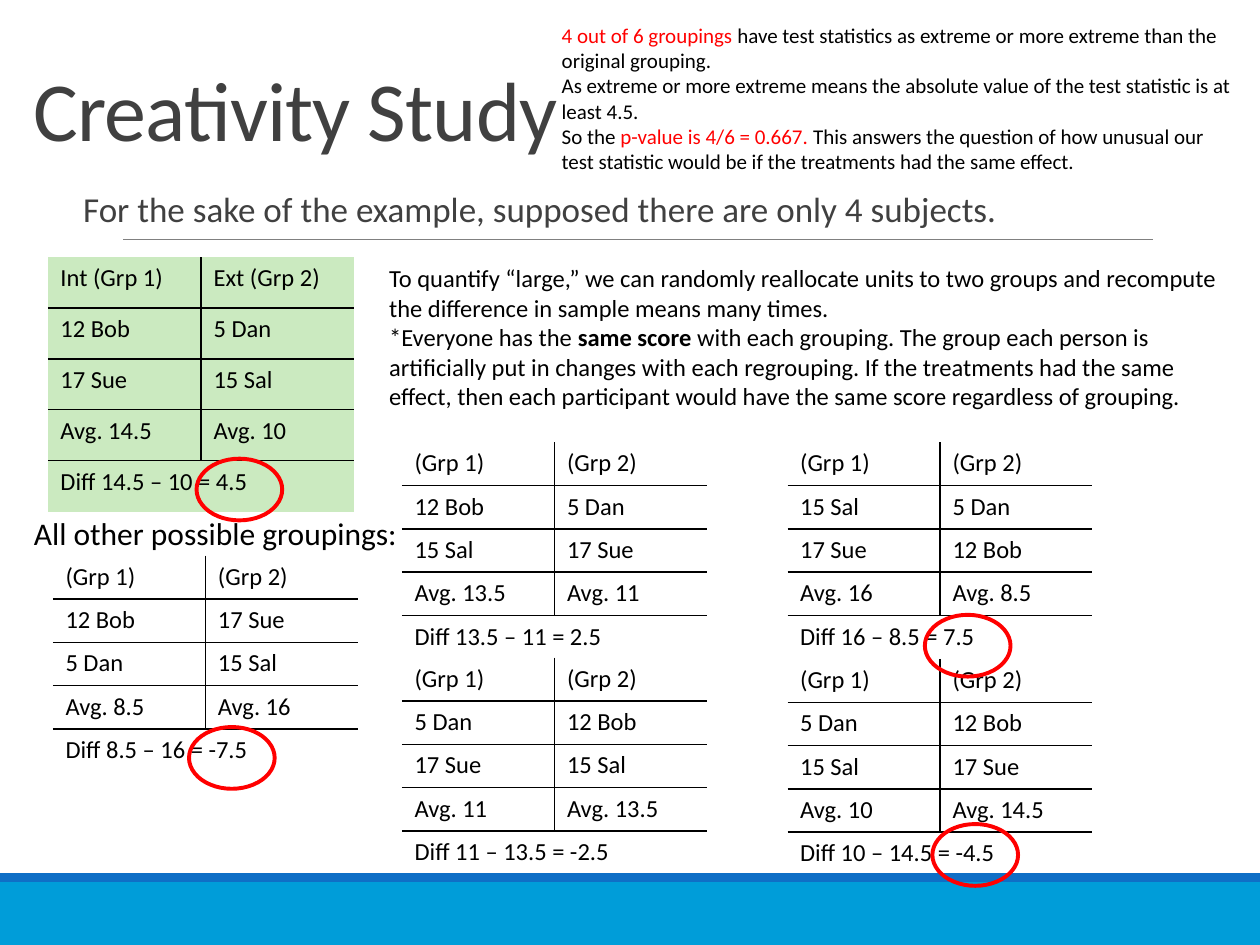
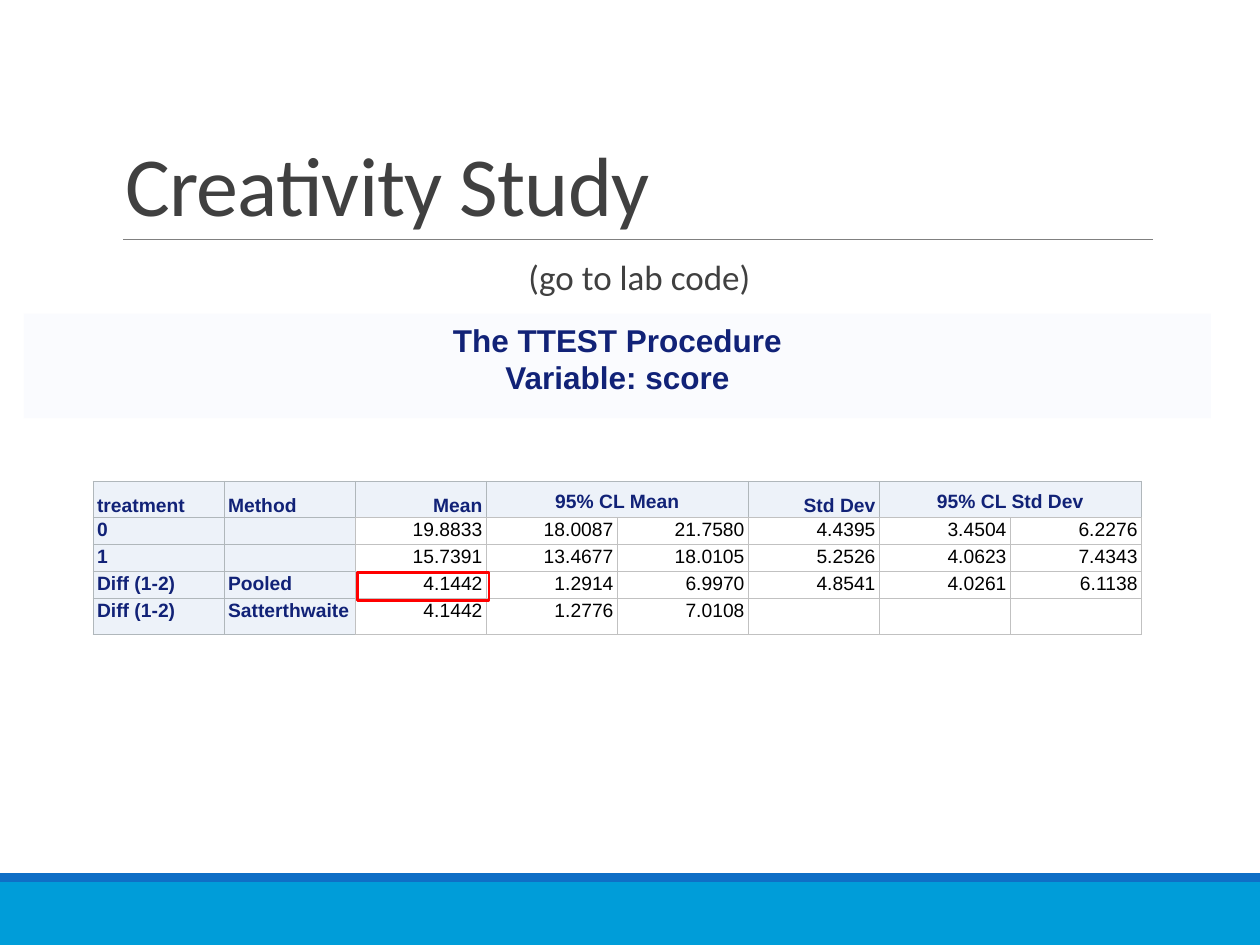
from dataclasses import dataclass
from typing import NamedTuple

from pptx import Presentation
from pptx import util as u
from pptx.dml.color import RGBColor
from pptx.enum import shapes, text
from pptx.oxml import parse_xml
from pptx.oxml.ns import nsdecls, qn

GRID = u.Inches(0.1)
COLS, ROWS = 100, 75
NO_STYLE = "{2D5ABB26-0587-4C30-8999-92F81FD0307C}"


@dataclass(frozen=True)
class Theme:
    band: str = "009DD9"
    stripe: str = "0F6FC6"
    rule: str = "808080"
    heading: str = "404040"
    ink: str = "000000"
    alert: str = "FF0000"
    observed: str = "CBEAC0"
    navy: str = "112277"
    panel: str = "FAFBFE"
    label: str = "EDF2F9"
    label_edge: str = "B0B7BB"
    value: str = "FFFFFF"
    value_edge: str = "C1C1C1"
    font: str = "Calibri"
    output_font: str = "Arial"
    title_size: float = 48
    lead_size: float = 20
    caption_size: float = 18
    text_size: float = 14
    note_size: float = 12
    output_size: float = 11


THEME = Theme()


class Box(NamedTuple):
    col: float
    row: float
    cols: float
    rows: float

    def emu(self):
        return [round(length * GRID) for length in self]

    def inner(self, col, row, cols, rows):
        return Box(self.col + col, self.row + row, cols, rows)


class Run(NamedTuple):
    words: str
    color: str = THEME.ink
    bold: bool = False


def rgb(color):
    return RGBColor.from_string(color)


def style(paragraph, size, color=THEME.ink, font=THEME.font, bold=False, align=None):
    paragraph.font.size = u.Pt(size)
    paragraph.font.name = font
    paragraph.font.color.rgb = rgb(color)
    paragraph.font.bold = bold
    paragraph.alignment = align


def write(frame, paragraphs, size, **look):
    frame.word_wrap = True
    for index, content in enumerate(paragraphs):
        paragraph = frame.add_paragraph() if index else frame.paragraphs[0]
        style(paragraph, size, **look)
        if isinstance(content, str):
            paragraph.add_run().text = content
            continue
        for part in content:
            run = paragraph.add_run()
            run.text = part.words
            run.font.color.rgb = rgb(part.color)
            run.font.bold = part.bold


def set_margins(target, left, top, right, bottom):
    target.margin_left, target.margin_top = u.Inches(left), u.Inches(top)
    target.margin_right, target.margin_bottom = u.Inches(right), u.Inches(bottom)


def add_text(slide, box, paragraphs, size, **look):
    frame = slide.shapes.add_textbox(*box.emu()).text_frame
    write(frame, paragraphs, size, **look)
    return frame


def add_block(slide, box, kind, fill=None, line=None, width=1):
    block = slide.shapes.add_shape(kind, *box.emu())
    block.shadow.inherit = False
    if fill:
        block.fill.solid()
        block.fill.fore_color.rgb = rgb(fill)
    else:
        block.fill.background()
    if line:
        block.line.color.rgb = rgb(line)
        block.line.width = u.Pt(width)
    else:
        block.line.fill.background()
    return block


def add_plain_table(slide, box, heights, columns):
    table = slide.shapes.add_table(len(heights), columns, *box.emu()).table
    table.first_row = table.horz_banding = False
    table._tbl.tblPr.find(qn("a:tableStyleId")).text = NO_STYLE
    for row, height in zip(table.rows, heights):
        row.height = round(height * GRID)
    for column in table.columns:
        column.width = round(box.cols / columns * GRID)
    return table


def set_borders(cell, sides, color, width):
    properties = cell._tc.get_or_add_tcPr()
    for side in "LRTB":
        if side in sides:
            properties.append(parse_xml(
                f'<a:ln{side} {nsdecls("a")} w="{u.Pt(width)}"><a:solidFill>'
                f'<a:srgbClr val="{color}"/></a:solidFill></a:ln{side}>'))


def fill_cell(cell, color):
    if color:
        cell.fill.solid()
        cell.fill.fore_color.rgb = rgb(color)
    else:
        cell.fill.background()


def add_base(deck):
    slide = deck.slides.add_slide(deck.slide_layouts[6])
    footer = Box(0, 69.3, COLS, ROWS - 69.3)
    rectangle = shapes.MSO_SHAPE.RECTANGLE
    add_block(slide, footer.inner(0, 0.7, COLS, 5), rectangle, THEME.band)
    add_block(slide, footer.inner(0, 0, COLS, 0.7), rectangle, THEME.stripe)
    left, top, right = (round(n * GRID) for n in (9.8, 19, 91.5))
    rule = slide.shapes.add_connector(shapes.MSO_CONNECTOR.STRAIGHT, left, top, right, top)
    rule.line.color.rgb = rgb(THEME.rule)
    rule.line.width = u.Pt(0.5)
    rule._element.spPr.append(parse_xml(f'<a:effectLst {nsdecls("a")}/>'))
    return slide


def add_title(slide, box):
    frame = add_text(slide, box, ["Creativity Study"], THEME.title_size, color=THEME.heading)
    frame.vertical_anchor = text.MSO_ANCHOR.BOTTOM
    title = frame.paragraphs[0]
    title.line_spacing = 0.85
    title.runs[0]._r.get_or_add_rPr().set("spc", "-50")


def add_lead(slide, box, words, align=None):
    frame = add_text(slide, box, [words], THEME.lead_size, color=THEME.heading, align=align)
    set_margins(frame, 0, 0.05, 0, 0.05)
    lead = frame.paragraphs[0]
    lead.line_spacing = 0.9
    lead.space_before, lead.space_after = u.Pt(12), u.Pt(2)
    lead._p.get_or_add_pPr().set("marL", str(u.Inches(0.1)))


SCORES = {"Bob": 12, "Sue": 17, "Dan": 5, "Sal": 15}


class Grouping(NamedTuple):
    box: Box
    first: tuple
    second: tuple
    ring: tuple = ()
    heads: tuple = ("(Grp 1)", "(Grp 2)")
    fill: str = ""


def grouping_box(col, row):
    return Box(col, row, 24.2, 17.2)


GROUPINGS = [
    Grouping(Box(3.8, 20.4, 24.3, 20.2), ("Bob", "Sue"), ("Dan", "Sal"), (11.8, 16),
             ("Int (Grp 1)", "Ext (Grp 2)"), THEME.observed),
    Grouping(grouping_box(31.9, 35.1), ("Bob", "Sal"), ("Dan", "Sue")),
    Grouping(grouping_box(31.9, 52.2), ("Dan", "Sue"), ("Bob", "Sal")),
    Grouping(grouping_box(62.5, 52.3), ("Dan", "Sal"), ("Bob", "Sue"), (11.5, 13.1)),
    Grouping(grouping_box(4.2, 44.1), ("Bob", "Dan"), ("Sue", "Sal"), (10.8, 13.6)),
    Grouping(grouping_box(62.5, 35.1), ("Sal", "Sue"), ("Dan", "Bob"), (10.9, 13.7)),
]


def add_grouping(slide, grouping):
    groups = grouping.first, grouping.second
    means = [sum(SCORES[name] for name in group) / len(group) for group in groups]
    rows = [grouping.heads]
    rows += [[f"{SCORES[name]} {name}" for name in pair] for pair in zip(*groups)]
    rows.append([f"Avg. {mean:g}" for mean in means])
    rows.append([f"Diff {means[0]:g} – {means[1]:g} = {means[0] - means[1]:g}", ""])
    last = len(rows) - 1
    height = grouping.box.rows / len(rows)
    table = add_plain_table(slide, grouping.box, [height] * len(rows), 2)
    table.cell(last, 0).merge(table.cell(last, 1))
    for r, row in enumerate(rows):
        for c, words in enumerate(row):
            cell = table.cell(r, c)
            sides = ("T" if r else "") + ("B" if r < last else "")
            sides += "RL"[c] if r < last else ""
            set_borders(cell, sides, THEME.ink, 1)
            fill_cell(cell, grouping.fill)
            if words:
                write(cell.text_frame, [words], THEME.text_size)


def add_ring(slide, grouping):
    add_block(slide, grouping.box.inner(*grouping.ring, 6.8, 4.9),
              shapes.MSO_SHAPE.OVAL, line=THEME.alert, width=2.25)


def build_groupings_slide(deck):
    slide = add_base(deck)
    add_title(slide, Box(1.7, 2.6, 82.5, 10.5))
    add_lead(slide, Box(5.6, 14.8, 82.5, 4.8),
             "For the sake of the example, supposed there are only 4 subjects.")
    add_text(slide, Box(1.7, 40.3, 31.8, 4), ["All other possible groupings:"], THEME.caption_size)
    for grouping in GROUPINGS:
        add_grouping(slide, grouping)
    for grouping in GROUPINGS:
        if grouping.ring:
            add_ring(slide, grouping)
    add_text(slide, Box(43.6, 1.3, 55.6, 13.1), [
        [Run("4 out of 6 groupings ", THEME.alert),
         Run("have test statistics as extreme or more extreme than the original grouping.")],
        "As extreme or more extreme means the absolute value of the test statistic is at least 4.5.",
        [Run("So the "), Run("p-value is 4/6 = 0.667. ", THEME.alert),
         Run("This answers the question of how unusual our test statistic would be "
             "if the treatments had the same effect.")],
    ], THEME.note_size)
    add_text(slide, Box(29.9, 20.4, 68.4, 15.1), [
        "To quantify “large,” we can randomly reallocate units to two groups and recompute "
        "the difference in sample means many times.",
        [Run("*Everyone has the "), Run("same score", bold=True),
         Run(" with each grouping. The group each person is artificially put in changes with "
             "each regrouping. If the treatments had the same effect, then each participant "
             "would have the same score regardless of grouping.")],
    ], THEME.text_size)


TTEST_ROWS = [
    ["treatment", "Method", "Mean", "95% CL Mean", "", "Std Dev", "95% CL Std Dev", ""],
    ["0", "", "19.8833", "18.0087", "21.7580", "4.4395", "3.4504", "6.2276"],
    ["1", "", "15.7391", "13.4677", "18.0105", "5.2526", "4.0623", "7.4343"],
    ["Diff (1-2)", "Pooled", "4.1442", "1.2914", "6.9970", "4.8541", "4.0261", "6.1138"],
    ["Diff (1-2)", "Satterthwaite", "4.1442", "1.2776", "7.0108", "", "", ""],
]


def add_ttest_table(slide, box):
    heights = [2.88, 2.14, 2.14, 2.14, 2.88]
    table = add_plain_table(slide, box, heights, len(TTEST_ROWS[0]))
    spans = (3, 6)
    for c in spans:
        table.cell(0, c).merge(table.cell(0, c + 1))
    for r, row in enumerate(TTEST_ROWS):
        for c, words in enumerate(row):
            cell = table.cell(r, c)
            is_label, is_span = r == 0 or c < 2, r == 0 and c in spans
            set_borders(cell, "LRTB", THEME.label_edge if is_label else THEME.value_edge, 0.75)
            fill_cell(cell, THEME.label if is_label else THEME.value)
            set_margins(cell, *((0.07, 0.04) if is_span else (0.03, 0.01)) * 2)
            if r == 0:
                cell.vertical_anchor = text.MSO_ANCHOR.BOTTOM
            align = text.PP_ALIGN.CENTER if is_span else text.PP_ALIGN.RIGHT if c > 1 else None
            look = dict(color=THEME.navy if is_label else THEME.ink,
                        font=THEME.output_font, bold=is_label, align=align)
            if words:
                write(cell.text_frame, [words], THEME.output_size, **look)
            else:
                style(cell.text_frame.paragraphs[0], THEME.output_size, **look)
    column = box.cols / len(TTEST_ROWS[0])
    return box.inner(2 * column + 0.2, sum(heights[:3]) + 0.1, column, 2.2)


def build_ttest_slide(deck):
    slide = add_base(deck)
    add_title(slide, Box(9, 3.1, 82.5, 15.9))
    add_lead(slide, Box(9, 20.2, 82.5, 44), "(go to lab code)", text.PP_ALIGN.CENTER)
    pooled_mean = add_ttest_table(slide, Box(7.4, 38.2, 83.2, 12.2))
    heading = add_block(slide, Box(1.9, 24.9, 94.2, 8.3), shapes.MSO_SHAPE.RECTANGLE, THEME.panel)
    set_margins(heading.text_frame, 0.1, 0.05, 0.1, 0.17)
    write(heading.text_frame, ["The TTEST Procedure", "Variable: score"], THEME.caption_size,
          color=THEME.navy, font=THEME.output_font, bold=True, align=text.PP_ALIGN.CENTER)
    add_block(slide, pooled_mean, shapes.MSO_SHAPE.RECTANGLE, line=THEME.alert, width=1.5)


def main():
    deck = Presentation()
    deck.slide_width, deck.slide_height = COLS * GRID, ROWS * GRID
    build_groupings_slide(deck)
    build_ttest_slide(deck)
    deck.save("out.pptx")


if __name__ == "__main__":
    main()
